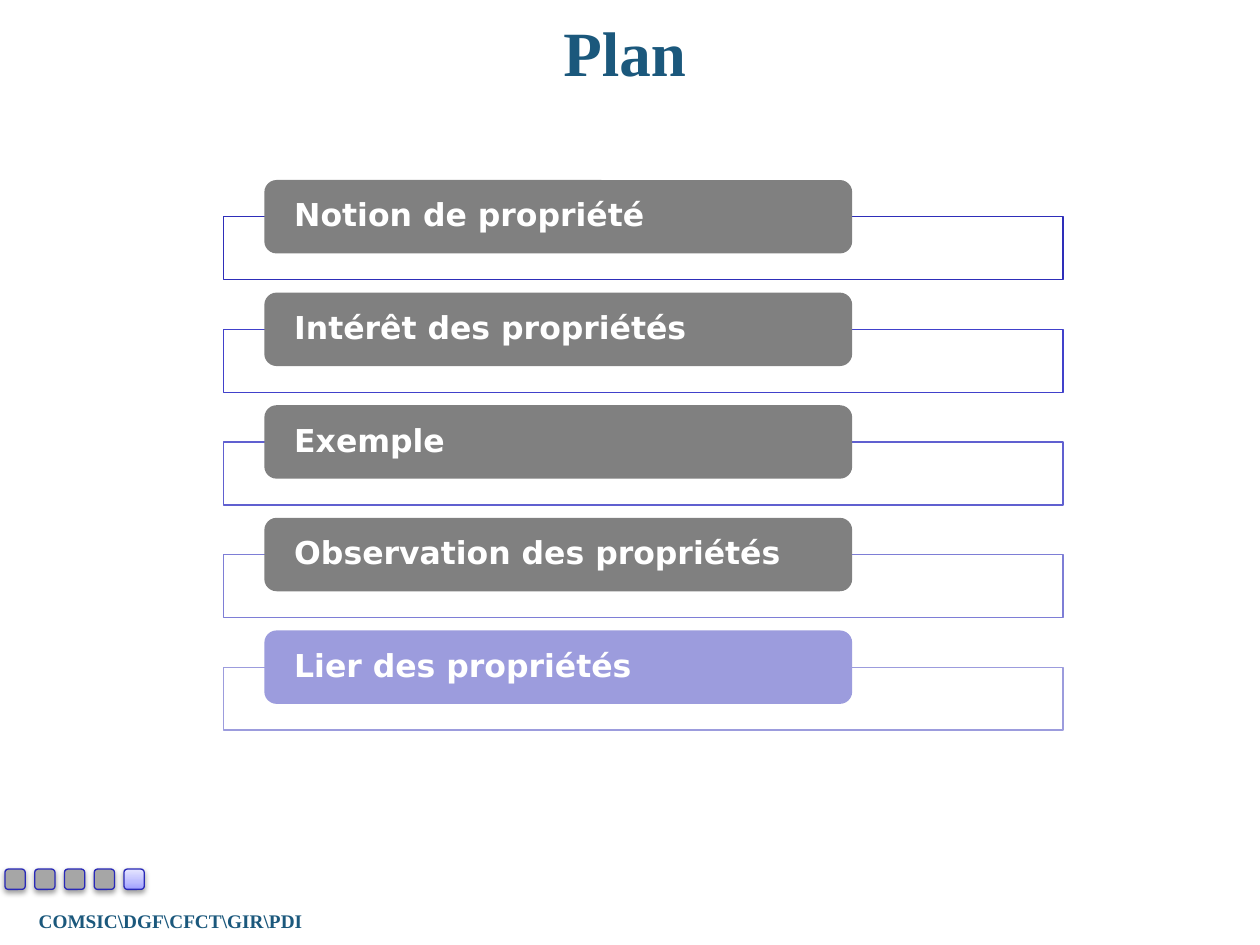
from lxml import etree
from pptx import Presentation
from pptx.dml.color import RGBColor
from pptx.enum.shapes import MSO_SHAPE
from pptx.enum.text import MSO_ANCHOR, PP_ALIGN
from pptx.oxml.ns import qn
from pptx.util import Cm, Pt

RECT, ROUNDED = MSO_SHAPE.RECTANGLE, MSO_SHAPE.ROUNDED_RECTANGLE
MIDDLE = MSO_ANCHOR.MIDDLE
LEFT, CENTER = PP_ALIGN.LEFT, PP_ALIGN.CENTER

TITLE = "Plan"
FOOTER = "COMSIC\\DGF\\CFCT\\GIR\\PDI"
# section, frame line colour
SECTIONS = [
    ("Notion de propriété", "2E2EB9"),
    ("Intérêt des propriétés", "4141CB"),
    ("Exemple", "6060D0"),
    ("Observation des propriétés", "7E7ED6"),
    ("Lier des propriétés", "9C9CDD"),
]
CURRENT = 4

COLORS = {
    "heading": "1B587C",
    "white": "FFFFFF",
    "done": "808080",
    "current": "9C9CDD",
    "marker": "A6A6A6",
    "marker_line": "2929B8",
    "shadow": "000000",
}
MARKER_GRADIENT = [(0, "9F9FFF"), (35, "BBBBFF"), (100, "E5E5FF")]
SERIF, SANS = "Times New Roman", "DejaVu Sans"

# left, top, width, height in cm
TITLE_BOX = (1.09, 0.13, 23.01, 1.8)
FOOTER_BOX = (-0.51, 18.19, 7.9, 0.73)
FRAME = (4.5, 4.37, 16.93, 1.27)
BAR = (5.33, 3.63, 11.85, 1.48)
MARKER = (0.1, 17.52, 0.41, 0.41)
SECTION_PITCH, MARKER_PITCH = 2.27, 0.6


def rgb(color):
    return RGBColor.from_string(color)


def write(shape, text, size, font, color, align):
    frame = shape.text_frame
    frame.word_wrap = True
    frame.vertical_anchor = MIDDLE
    paragraph = frame.paragraphs[0]
    paragraph.alignment = align
    run = paragraph.add_run()
    run.text = text
    run.font.size = Pt(size)
    run.font.name = font
    run.font.bold = True
    run.font.color.rgb = rgb(color)
    return frame


def add_heading(slide, box, text, size):
    shape = slide.shapes.add_textbox(*map(Cm, box))
    write(shape, text, size, SERIF, COLORS["heading"], CENTER)


def add_box(slide, preset, box, fill, line=None):
    shape = slide.shapes.add_shape(preset, *map(Cm, box))
    shape.shadow.inherit = False
    shape.fill.solid()
    shape.fill.fore_color.rgb = rgb(fill)
    if line:
        shape.line.color.rgb = rgb(line)
        shape.line.width = Pt(0.75)
    else:
        shape.line.fill.background()
    return shape


def add_color(parent, color, alpha=None):
    node = etree.SubElement(parent, qn("a:srgbClr"), val=color)
    if alpha is not None:
        etree.SubElement(node, qn("a:alpha"), val=str(alpha * 1000))


def drop_shadow(shape):
    effects = shape.element.spPr.find(qn("a:effectLst"))
    shadow = etree.SubElement(
        effects, qn("a:outerShdw"), blurRad=str(Pt(3.1)), dist=str(Pt(1.6)),
        dir="5400000", rotWithShape="0")
    add_color(shadow, COLORS["shadow"], 38)


def fill_gradient(shape, stops):
    shape.fill.gradient()
    shape.fill.gradient_angle = 90
    stop_list = shape.element.spPr.find(qn("a:gradFill")).find(qn("a:gsLst"))
    stop_list.clear()
    for position, color in stops:
        stop = etree.SubElement(stop_list, qn("a:gs"), pos=str(position * 1000))
        add_color(stop, color)


def add_section(slide, index, name, line):
    def place(box):
        left, top, width, height = box
        return left, top + index * SECTION_PITCH, width, height

    add_box(slide, RECT, place(FRAME), COLORS["white"], line)
    state = "current" if index == CURRENT else "done"
    bar = add_box(slide, ROUNDED, place(BAR), COLORS[state])
    text = write(bar, name, 18, SANS, COLORS["white"], LEFT)
    text.margin_left = text.margin_right = Cm(0.53)
    text.margin_top = text.margin_bottom = 0
    text.paragraphs[0].line_spacing = 0.9


def add_marker(slide, index):
    left, top, width, height = MARKER
    box = (left + index * MARKER_PITCH, top, width, height)
    marker = add_box(slide, ROUNDED, box, COLORS["marker"], COLORS["marker_line"])
    drop_shadow(marker)
    if index == CURRENT:
        fill_gradient(marker, MARKER_GRADIENT)


def main():
    deck = Presentation()
    deck.slide_width, deck.slide_height = Cm(25.4), Cm(19.05)
    slide = deck.slides.add_slide(deck.slide_layouts[6])
    add_heading(slide, FOOTER_BOX, FOOTER, 11)
    add_heading(slide, TITLE_BOX, TITLE, 36)
    for index, (name, line) in enumerate(SECTIONS):
        add_section(slide, index, name, line)
    for index in range(len(SECTIONS)):
        add_marker(slide, index)
    deck.save("out.pptx")


if __name__ == "__main__":
    main()
